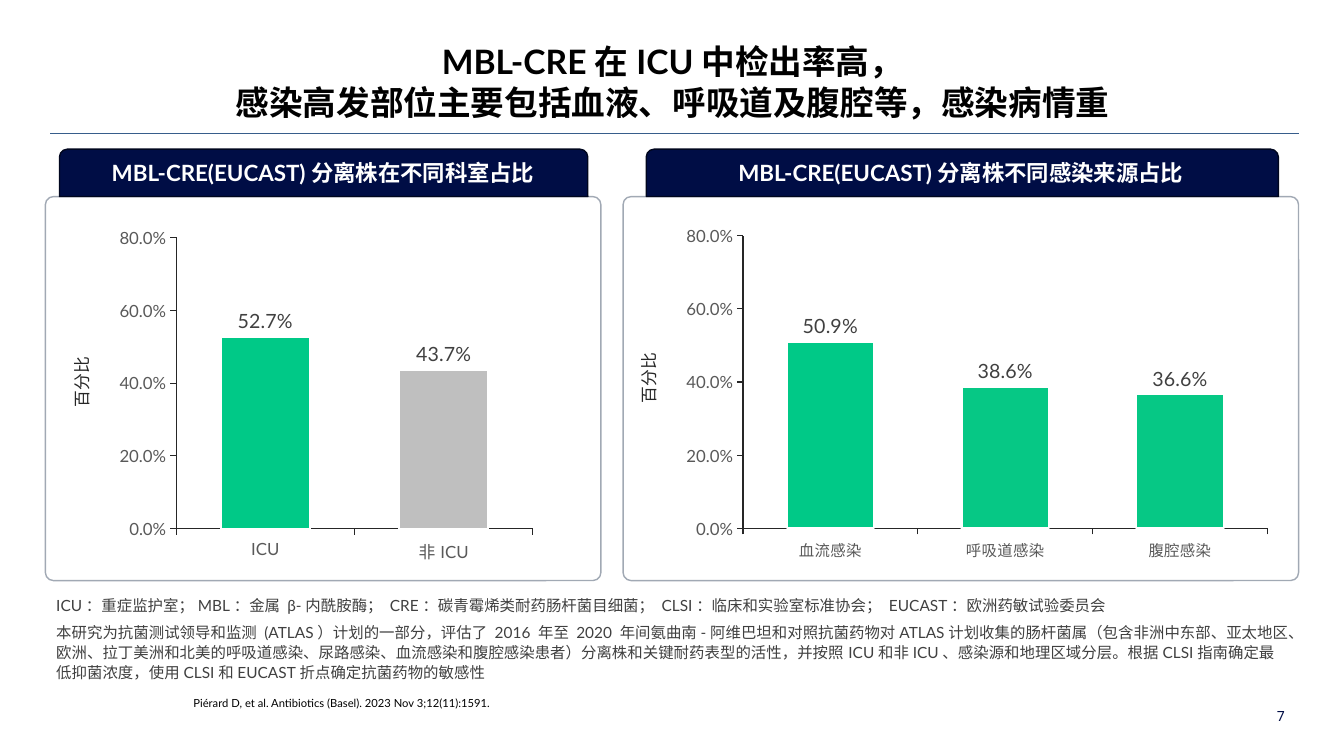
from lxml import etree
from pptx import Presentation
from pptx.chart.data import CategoryChartData
from pptx.dml.color import RGBColor
from pptx.enum.chart import XL_CHART_TYPE as Kind, XL_LABEL_POSITION as Spot
from pptx.enum.chart import XL_TICK_MARK as Tick
from pptx.enum.shapes import MSO_CONNECTOR as Conn, MSO_SHAPE as Form
from pptx.enum.text import MSO_ANCHOR as Anchor, PP_ALIGN as Align
from pptx.oxml import parse_xml
from pptx.oxml.ns import nsdecls, qn
from pptx.util import Inches, Pt

NAVY = RGBColor(0x00, 0x0D, 0x45)
EDGE = RGBColor(0x00, 0x06, 0x1E)
SLATE = RGBColor(0x44, 0x54, 0x6A)
RULE = RGBColor(0x37, 0x5D, 0x8B)
GREEN = RGBColor(0x00, 0xC9, 0x87)
LEAF = RGBColor(0x06, 0xC8, 0x85)
SILVER = RGBColor(0xBF, 0xBF, 0xBF)
INK = RGBColor(0x26, 0x26, 0x26)
DARK = RGBColor(0x40, 0x40, 0x40)
GREY = RGBColor(0x59, 0x59, 0x59)
BLACK = RGBColor(0, 0, 0)
WHITE = RGBColor(0xFF, 0xFF, 0xFF)

CARD_TOP, CARD_TALL, TAB_TALL = 1.95, 3.81, 0.47

PANELS = [
    dict(card=(0.45, 5.51), tab=(0.59, 5.24), head="MBL-CRE(EUCAST)分离株在不同科室占比",
         axis=(-0.01, 3.64), box=(0.94, 2, 4.95, 3.67), plot=(0.163, 0.097, 0.715, 0.788),
         cats=["ICU", "非ICU"], vals=[0.527, 0.437], fills=[GREEN, SILVER],
         cat_font=dict(name="Lato", size=Pt(12))),
    dict(card=(6.18, 6.7), tab=(6.41, 6.27), head="MBL-CRE(EUCAST)分离株不同感染来源占比",
         axis=(5.61, 3.6), box=(6.58, 2.06, 6.12, 3.61), plot=(0.129, 0.077, 0.85, 0.805),
         cats=["血流感染", "呼吸道感染", "腹腔感染"], vals=[0.509, 0.386, 0.366],
         fills=[GREEN, LEAF, LEAF], cat_font=dict(name="Arial", size=Pt(11))),
]

TERMS = ("ICU：重症监护室；MBL：金属 β-内酰胺酶； CRE：碳青霉烯类耐药肠杆菌目细菌； "
         "CLSI：临床和实验室标准协会； EUCAST：欧洲药敏试验委员会")
STUDY = ("本研究为抗菌测试领导和监测 (ATLAS）计划的一部分，评估了 2016 年至 2020 年间"
         "氨曲南-阿维巴坦和对照抗菌药物对ATLAS计划收集的肠杆菌属（包含非洲中东部、亚太地区、"
         "欧洲、拉丁美洲和北美的呼吸道感染、尿路感染、血流感染和腹腔感染患者）分离株和关键耐药"
         "表型的活性，并按照ICU和非ICU、感染源和地理区域分层。根据CLSI指南确定最低抑菌浓度，"
         "使用CLSI和EUCAST折点确定抗菌药物的敏感性")
CITE = "Piérard D, et al. Antibiotics (Basel). 2023 Nov 3;12(11):1591."


def style(font, color, **props):
    for key, value in props.items():
        setattr(font, key, value)
    font.color.rgb = color


def write(slide, box, text, size, color, align=Align.LEFT, bold=False, name="Lato", space=1.0):
    shape = slide.shapes.add_textbox(*map(Inches, box))
    shape.text_frame.word_wrap = True
    para = shape.text_frame.paragraphs[0]
    para.text, para.alignment, para.line_spacing = text, align, space
    style(para.runs[0].font, color, name=name, size=Pt(size), bold=bold)
    return shape


def block(slide, form, box, fill, line):
    shape = slide.shapes.add_shape(form, *map(Inches, box))
    shape.shadow.inherit = False
    shape.fill.solid()
    shape.fill.fore_color.rgb = fill
    shape.line.color.rgb = line
    shape.line.width = Pt(1)
    return shape


def set_plot(chart, plot):
    """Fix the inner plot area as shares of the chart's box."""
    area = chart._chartSpace.chart.plotArea
    for old in area.findall(qn("c:layout")):
        area.remove(old)
    shares = "".join(f'<c:{tag} val="{val}"/>' for tag, val in zip("xywh", plot))
    area.insert(0, parse_xml(
        f'<c:layout {nsdecls("c")}><c:manualLayout><c:layoutTarget val="inner"/>'
        f'<c:xMode val="edge"/><c:yMode val="edge"/>{shares}</c:manualLayout></c:layout>'))


def add_bars(slide, panel):
    data = CategoryChartData(number_format="0.0%")
    data.categories = panel["cats"]
    data.add_series("Series 1", panel["vals"])
    chart = slide.shapes.add_chart(
        Kind.COLUMN_CLUSTERED, *map(Inches, panel["box"]), data).chart
    chart.has_legend = chart.has_title = False
    style(chart.font, BLACK, name="Arial", size=Pt(12))
    set_plot(chart, panel["plot"])

    rate, cat = chart.value_axis, chart.category_axis
    for axis, font in ((rate, dict(name="Lato", size=Pt(12))), (cat, panel["cat_font"])):
        axis.has_major_gridlines = False
        axis.major_tick_mark, axis.minor_tick_mark = Tick.OUTSIDE, Tick.NONE
        axis.format.line.color.rgb = INK
        axis.format.line.width = Pt(0.75)
        style(axis.tick_labels.font, GREY, **font)
    rate.minimum_scale, rate.maximum_scale, rate.major_unit = 0, 0.8, 0.2
    rate.tick_labels.number_format = "0.0%"
    rate.tick_labels.number_format_is_linked = False

    bars = chart.plots[0]
    bars.gap_width, bars.vary_by_categories = 100, False
    series = bars.series[0]
    for i, fill in enumerate(panel["fills"]):
        look = series.points[i].format
        look.fill.solid()
        look.fill.fore_color.rgb = fill
        look.line.color.rgb = WHITE
        look.line.width = Pt(1.5)
    tags = series.data_labels
    tags.show_value, tags.position = True, Spot.OUTSIDE_END
    tags.number_format, tags.number_format_is_linked = "0.0%", False
    style(tags.font, DARK, name="Lato", size=Pt(14))


def add_panel(slide, panel):
    left, wide = panel["card"]
    card = block(slide, Form.ROUNDED_RECTANGLE, (left, CARD_TOP, wide, CARD_TALL), WHITE, SLATE)
    card.adjustments[0] = 0.021
    tint = card.line.fill._xPr.find(".//" + qn("a:srgbClr"))
    etree.SubElement(tint, qn("a:alpha"), val="50000")
    x, w = panel["tab"]
    top = CARD_TOP - TAB_TALL
    block(slide, Form.ROUND_2_SAME_RECTANGLE, (x, top, w, TAB_TALL), NAVY, EDGE)
    add_bars(slide, panel)
    label = write(slide, (*panel["axis"], 1.65, 0.3), "百分比", 12, INK, Align.CENTER)
    label.rotation = 270
    write(slide, (left, top + 0.05, wide, 0.37), panel["head"], 16, WHITE, Align.CENTER, True)


def add_header(slide):
    title = slide.shapes.title
    for key, value in dict(left=0.92, top=0.35, width=11.5, height=0.91).items():
        setattr(title, key, Inches(value))
    frame = title.text_frame
    frame.text = "MBL-CRE在ICU中检出率高，\v感染高发部位主要包括血液、呼吸道及腹腔等，感染病情重"
    frame.vertical_anchor = Anchor.BOTTOM
    frame.paragraphs[0].alignment = Align.CENTER
    for run in frame.paragraphs[0].runs:
        style(run.font, BLACK, name="Lato", size=Pt(24), bold=True)
    rule = slide.shapes.add_connector(Conn.STRAIGHT, *map(Inches, (0.5, 1.32, 12.88, 1.32)))
    rule.line.color.rgb = RULE
    rule.line.width = Pt(0.75)
    etree.SubElement(rule._element.spPr, qn("a:effectLst"))


def add_notes(slide):
    """Place the terms, study text, citation and page number under the panels."""
    write(slide, (0.46, 5.86, 11.5, 0.29), TERMS, 11, DARK)
    write(slide, (0.46, 6.11, 12.43, 0.7), STUDY, 11, DARK, space=1.1)
    write(slide, (1.82, 6.86, 6.67, 0.24), CITE, 8, BLACK)
    page = write(slide, (12.39, 6.9, 0.45, 0.4), "7", 10, NAVY, Align.RIGHT, name="Noto Sans")
    page.text_frame.vertical_anchor = Anchor.MIDDLE


def main():
    deck = Presentation()
    deck.slide_width, deck.slide_height = Inches(13.33), Inches(7.5)
    slide = deck.slides.add_slide(deck.slide_layouts[5])
    add_header(slide)
    for panel in PANELS:
        add_panel(slide, panel)
    add_notes(slide)
    deck.save("out.pptx")


if __name__ == "__main__":
    main()
